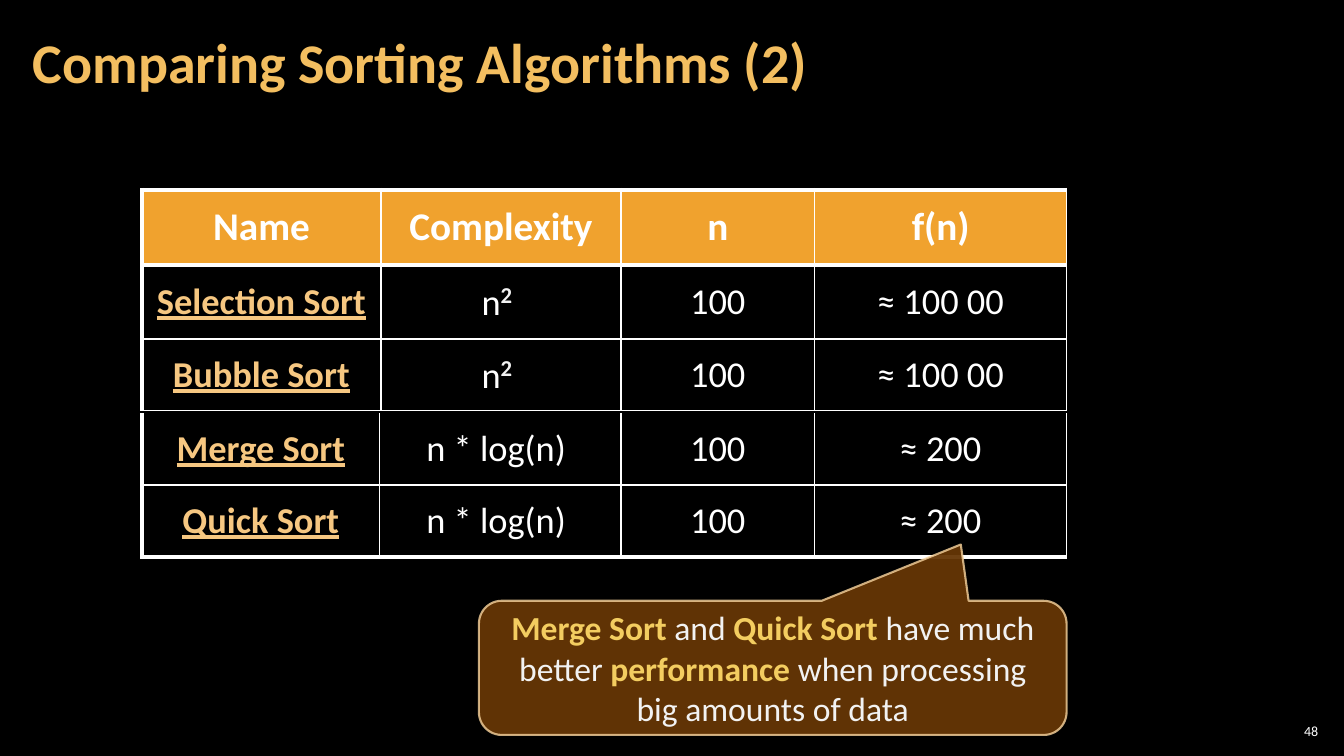
from lxml.etree import SubElement
from pptx import Presentation
from pptx.dml.color import RGBColor
from pptx.enum.shapes import MSO_SHAPE
from pptx.enum.text import MSO_ANCHOR, MSO_AUTO_SIZE, PP_ALIGN
from pptx.oxml import parse_xml
from pptx.oxml.ns import nsdecls, qn
from pptx.util import Cm, Pt

BLACK = RGBColor(0x00, 0x00, 0x00)
WHITE = RGBColor(0xFF, 0xFF, 0xFF)
LIGHT = RGBColor(0xF2, 0xF2, 0xF2)
GOLD = RGBColor(0xF3, 0xBE, 0x60)
ORANGE = RGBColor(0xF0, 0xA2, 0x2E)
PEACH = RGBColor(0xF6, 0xC7, 0x81)
YELLOW = RGBColor(0xF3, 0xCD, 0x60)
BROWN = RGBColor(0x66, 0x36, 0x06)
SAND = RGBColor(0xF8, 0xD4, 0x9E)

THIN, THICK = 1, 3


class SlideBuilder:
    font_name = "Calibri"

    def __init__(self, presentation):
        self.slide = presentation.slides.add_slide(presentation.slide_layouts[5])
        self.slide.background.fill.solid()
        self.slide.background.fill.fore_color.rgb = BLACK

    def run(self, paragraph, text, size, color, bold=False, underline=False, baseline=0):
        run = paragraph.add_run()
        run.text = text
        run.font.name = self.font_name
        run.font.size = Pt(size)
        run.font.color.rgb = color
        run.font.bold = bold
        run.font.underline = underline
        if baseline:
            run.font._element.set("baseline", str(baseline * 1000))

    def set_alpha(self, fill, percent):
        color = fill._xPr.find(".//" + qn("a:srgbClr"))
        SubElement(color, qn("a:alpha")).set("val", str(percent * 1000))

    def frame(self, shape, margin_x, margin_y):
        frame = shape.text_frame
        frame.word_wrap = True
        frame.auto_size = MSO_AUTO_SIZE.NONE
        frame.vertical_anchor = MSO_ANCHOR.MIDDLE
        frame.margin_left = frame.margin_right = Cm(margin_x)
        frame.margin_top = frame.margin_bottom = Cm(margin_y)
        return frame.paragraphs[0]

    def title(self, text, left, top, width, height):
        title = self.slide.shapes.title
        title.left, title.top = Cm(left), Cm(top)
        title.width, title.height = Cm(width), Cm(height)
        paragraph = self.frame(title, 0.3, 0.1)
        paragraph.alignment = PP_ALIGN.LEFT
        paragraph.line_spacing = 0.9
        self.run(paragraph, text, 40, GOLD, bold=True)

    def page_number(self, text, left, top, width, height):
        box = self.slide.shapes.add_textbox(Cm(left), Cm(top), Cm(width), Cm(height))
        paragraph = self.frame(box, 0.1, 0.1)
        paragraph.alignment = PP_ALIGN.RIGHT
        self.run(paragraph, text, 10, WHITE)

    def cell(self, cell, runs, fill_color, borders, alpha=None):
        cell.vertical_anchor = MSO_ANCHOR.MIDDLE
        cell.fill.solid()
        cell.fill.fore_color.rgb = fill_color
        if alpha:
            self.set_alpha(cell.fill, alpha)
        properties = cell._tc.get_or_add_tcPr()
        for index, (side, width) in enumerate(zip("LRTB", borders)):
            paint = f'<a:solidFill><a:srgbClr val="{WHITE}"/></a:solidFill>' if width else "<a:noFill/>"
            line = f'<a:ln{side} {nsdecls("a")} w="{Pt(width)}">{paint}</a:ln{side}>'
            properties.insert(index, parse_xml(line))
        paragraph = cell.text_frame.paragraphs[0]
        paragraph.alignment = PP_ALIGN.CENTER
        for text, style in runs:
            self.run(paragraph, text, **style)

    def table(self, left, top, column_widths, row_heights, rows, has_header, top_border, bottom_border):
        table = self.slide.shapes.add_table(
            len(rows), len(column_widths), Cm(left), Cm(top),
            Cm(sum(column_widths)), Cm(sum(row_heights))).table
        table.first_row = has_header
        table.horz_banding = False
        for column, width in zip(table.columns, column_widths):
            column.width = Cm(width)
        for row_index, (row, height) in enumerate(zip(rows, row_heights)):
            table.rows[row_index].height = Cm(height)
            is_header = has_header and row_index == 0
            after_header = has_header and row_index == 1
            upper = top_border if row_index == 0 else THICK if after_header else THIN
            lower = THICK if is_header else bottom_border if row_index == len(rows) - 1 else THIN
            for column_index, runs in enumerate(row):
                borders = (THIN if column_index else THICK, THIN, upper, lower)
                self.cell(table.cell(row_index, column_index), runs,
                          ORANGE if is_header else BLACK, borders, None if is_header else 30)

    def callout(self, left, top, width, height, adjustments, runs):
        shape = self.slide.shapes.add_shape(
            MSO_SHAPE.ROUNDED_RECTANGULAR_CALLOUT, Cm(left), Cm(top), Cm(width), Cm(height))
        shape.shadow.inherit = False
        for index, value in enumerate(adjustments):
            shape.adjustments[index] = value
        shape.fill.solid()
        shape.fill.fore_color.rgb = BROWN
        self.set_alpha(shape.fill, 95)
        shape.line.width = Pt(1.5)
        shape.line.color.rgb = SAND
        self.set_alpha(shape.line.fill, 80)
        paragraph = self.frame(shape, 0.25, 0.13)
        paragraph.alignment = PP_ALIGN.CENTER
        for text, highlighted in runs:
            self.run(paragraph, text, 24, YELLOW if highlighted else LIGHT, bold=highlighted)


HEADER = dict(size=28, color=WHITE, bold=True)
NAME = dict(size=26, color=PEACH, bold=True, underline=True)
VALUE = dict(size=26, color=WHITE)
POWER = dict(size=28, color=LIGHT, bold=True, baseline=30)

SQUARE = [("n", VALUE), ("2", POWER), (" ", VALUE)]
LOGARITHMIC = [("n * log(n) ", VALUE)]


def algorithm_row(name, complexity, result):
    return [[(name, NAME)], complexity, [("100", VALUE)], [(result, VALUE)]]


def main():
    presentation = Presentation()
    presentation.slide_width = Cm(33.87)
    presentation.slide_height = Cm(19.05)
    builder = SlideBuilder(presentation)
    builder.page_number("48", 32.13, 18.14, 1.19, 0.56)
    builder.title("Comparing Sorting Algorithms (2)", 0.53, 0.1, 26.6, 3.07)

    header_row = [[(text, HEADER)] for text in ("Name", "Complexity", "n", "f(n)")]
    quadratic_rows = [algorithm_row(name, SQUARE, "≈ 100 00")
                      for name in ("Selection Sort", "Bubble Sort")]
    fast_rows = [algorithm_row(name, LOGARITHMIC, "≈ 200")
                 for name in ("Merge Sort", "Quick Sort")]
    builder.table(3.58, 4.78, (6.02, 6.05, 4.88, 6.35), (1.9, 1.86, 1.81),
                  [header_row] + quadratic_rows, True, THICK, THIN)
    builder.table(3.58, 10.41, (5.99, 6.08, 4.88, 6.35), (1.81, 1.81),
                  fast_rows, False, 0, THICK)

    builder.callout(12.07, 15.14, 14.81, 3.38, (0.32, -0.92, 0.17), [
        ("Merge Sort ", True), ("and ", False), ("Quick Sort ", True),
        ("have much better ", False), ("performance ", True),
        ("when processing big amounts of data", False)])
    presentation.save("out.pptx")


if __name__ == "__main__":
    main()
